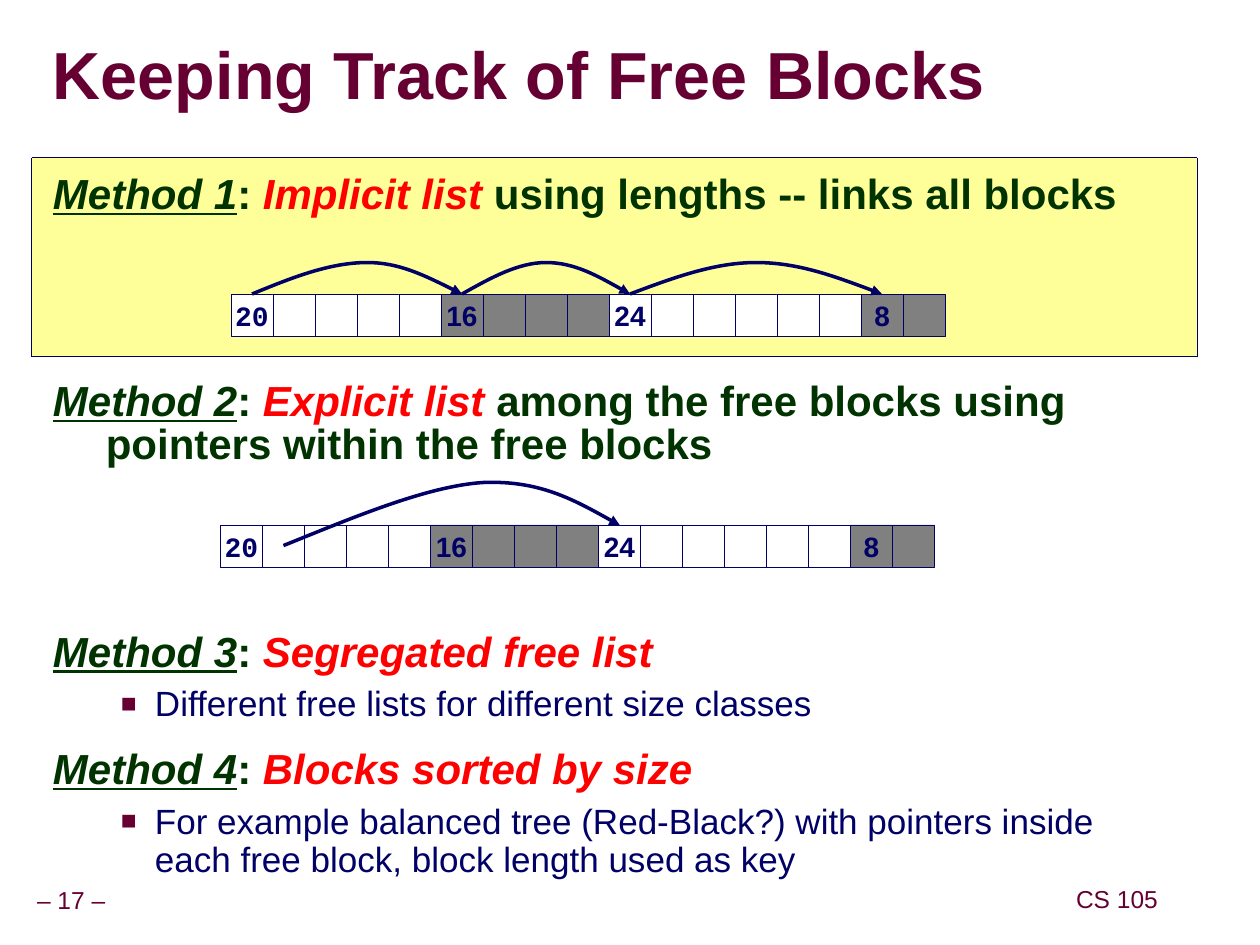
from lxml import etree
from pptx import Presentation
from pptx.dml.color import RGBColor
from pptx.enum.dml import MSO_LINE
from pptx.enum.shapes import MSO_SHAPE as Shape
from pptx.enum.text import MSO_ANCHOR as Anchor, MSO_AUTO_SIZE as AutoSize, PP_ALIGN as Align
from pptx.oxml import parse_xml
from pptx.oxml.ns import nsdecls, qn
from pptx.util import Inches, Pt

WIDTH, HEIGHT = 10, 7.5
CELL = WIDTH / 30
NAVY, MAROON, GREEN, RED = "000066", "660033", "003300", "FF0000"
WHITE, GRAY, YELLOW = "FFFFFF", "808080", "FFFF99"

# Heap blocks: size label, cell count, fill, label font
BLOCKS = [("20", 5, WHITE, "Courier New"), ("16", 4, GRAY, "Arial"),
          ("24", 6, WHITE, "Arial"), ("8", 2, GRAY, "Arial")]

# Methods: name, key term, rest of the line, detail, space before
METHODS = [
    ("Method 1", "Implicit list", " using lengths -- links all blocks", "", 0),
    ("Method 2", "Explicit list",
     " among the free blocks using pointers within the free blocks", "", 94),
    ("Method 3", "Segregated free list", "",
     "Different free lists for different size classes", 94),
    ("Method 4", "Blocks sorted by size", "",
     "For example balanced tree (Red-Black?) with pointers inside each free block, "
     "block length used as key", 15),
]


def color(hex_code):
    return RGBColor.from_string(hex_code)


def place(shape, left, top, width, height):
    shape.left, shape.top = Inches(left), Inches(top)
    shape.width, shape.height = Inches(width), Inches(height)


def set_frame(shape, anchor, side, edge, wrap=True):
    frame = shape.text_frame
    frame.auto_size = AutoSize.NONE
    frame.word_wrap = wrap
    frame.vertical_anchor = anchor
    frame.margin_left = frame.margin_right = Inches(side)
    frame.margin_top = frame.margin_bottom = Inches(edge)
    return frame


def add_span(para, text, size, hex_code, font="Arial", bold=False, italic=False, underline=False):
    span = para.add_run()
    span.text = text
    span.font.size, span.font.name = Pt(size), font
    span.font.bold, span.font.italic, span.font.underline = bold, italic, underline
    span.font.color.rgb = color(hex_code)
    return span


def set_para(para, indent, hanging, spacing, before, bullet=False):
    props = para._p.get_or_add_pPr()
    props.set("marL", str(Inches(indent)))
    props.set("indent", str(-Inches(hanging)))
    if bullet:
        tint = etree.SubElement(props, qn("a:buClr"))
        etree.SubElement(tint, qn("a:srgbClr"), val=MAROON)
        etree.SubElement(props, qn("a:buSzPct"), val="75000")
        etree.SubElement(props, qn("a:buFont"), typeface="Arial")
        etree.SubElement(props, qn("a:buChar"), char="■")
    else:
        etree.SubElement(props, qn("a:buNone"))
    para.alignment = Align.LEFT
    para.line_spacing, para.space_before = spacing, Pt(before)


def add_title(page, text):
    title = page.shapes.title
    place(title, 0.42, 0.25, 7.98, 0.75)
    para = set_frame(title, Anchor.MIDDLE, 0, 0).paragraphs[0]
    para.alignment, para.line_spacing = Align.LEFT, 0.87
    span = add_span(para, text, 38, MAROON, bold=True)
    shadow = parse_xml(
        f'<a:effectLst {nsdecls("a")}><a:outerShdw dist="38100" dir="2700000">'
        '<a:srgbClr val="969696"/></a:outerShdw></a:effectLst>')
    span.font._element.find(qn("a:solidFill")).addnext(shadow)


def add_methods(page):
    body = page.placeholders[1]
    place(body, 0.32, 1.34, 9.09, 5.71)
    frame = set_frame(body, Anchor.TOP, 0.1, 0.05)
    for index, (name, term, rest, detail, before) in enumerate(METHODS):
        para = frame.add_paragraph() if index else frame.paragraphs[0]
        set_para(para, 0.42, 0.42, 0.85, before)
        add_span(para, name, 24, GREEN, bold=True, italic=True, underline=True)
        add_span(para, ": ", 24, GREEN, bold=True)
        add_span(para, term, 24, RED, bold=True, italic=True)
        if rest:
            add_span(para, rest, 24, GREEN, bold=True)
        if detail:
            para = frame.add_paragraph()
            para.level = 1
            set_para(para, 0.81, 0.27, 0.9, 6.2, bullet=True)
            add_span(para, detail, 20, NAVY)


def add_rect(page, left, top, width, height, fill):
    rect = page.shapes.add_shape(Shape.RECTANGLE, 0, 0, 0, 0)
    place(rect, left, top, width, height)
    rect.shadow.inherit = False
    rect.fill.solid()
    rect.fill.fore_color.rgb = color(fill)
    rect.line.color.rgb = color(NAVY)
    rect.line.width = Pt(0.25)
    return rect


def add_panel(page):
    panel = add_rect(page, 0.25, 1.25, 9.25, 1.58, YELLOW)
    panel.line.dash_style = MSO_LINE.ROUND_DOT
    # Send behind the title and body
    page.shapes._spTree.insert(2, panel._element)


def add_heap(page, left, top):
    column = 0
    for label, count, fill, font in BLOCKS:
        for offset in range(count):
            cell = add_rect(page, left + column * CELL, top, CELL, CELL, fill)
            if offset == 0:
                para = set_frame(cell, Anchor.MIDDLE, 0.1, 0.05, wrap=False).paragraphs[0]
                para.alignment = Align.CENTER
                add_span(para, label, 16, NAVY, font, bold=True)
            column += 1


def add_curve(page, points):
    """Draw an arrow through cubic Bezier points: a start, then triples."""
    start, *others = [(Inches(x), Inches(y)) for x, y in points]
    builder = page.shapes.build_freeform(*start)
    builder.add_line_segments(others, close=False)
    curve = builder.convert_to_shape()
    # Gather each three line ends into one Bezier segment
    lines = list(curve._element.iter(qn("a:lnTo")))
    for first in range(0, len(lines), 3):
        bezier = etree.Element(qn("a:cubicBezTo"))
        lines[first].addprevious(bezier)
        for line in lines[first:first + 3]:
            bezier.append(line[0])
            line.getparent().remove(line)
    curve.shadow.inherit = False
    curve.fill.background()
    curve.line.color.rgb = color(NAVY)
    curve.line.width = Pt(2)
    etree.SubElement(curve.line._get_or_add_ln(), qn("a:tailEnd"), type="triangle")


def hop_points(start, end, base, peak=0.5, rise=0.25):
    shares = [peak * i / 3 for i in range(3)] + [peak + (1 - peak) * i / 3 for i in range(4)]
    lifts = [0, 0.5, 1, 1, 1, 0.5, 0]
    return [(start + (end - start) * share, base - rise * lift)
            for share, lift in zip(shares, lifts)]


def add_footer(page, text, left, top, width):
    box = page.shapes.add_textbox(0, 0, 0, 0)
    place(box, left, top, width, 0.31)
    para = set_frame(box, Anchor.MIDDLE, 0.05, 0.05, wrap=False).paragraphs[0]
    para.alignment, para.line_spacing = Align.CENTER, 0.9
    add_span(para, text, 14, MAROON)


def main():
    deck = Presentation()
    deck.slide_width, deck.slide_height = Inches(WIDTH), Inches(HEIGHT)
    page = deck.slides.add_slide(deck.slide_layouts[1])

    # Text
    add_title(page, "Keeping Track of Free Blocks")
    add_methods(page)
    add_panel(page)
    add_footer(page, "– 17 –", -0.09, 7, 1.31)
    add_footer(page, "CS 105", 8.49, 6.99, 0.75)

    # Implicit list: every block leads to the next
    left, top = 5.5 * CELL, 7 * CELL
    add_heap(page, left, top)
    column = 0.5
    for (_, count, _, _), peak in zip(BLOCKS[:-1], (0.55, 0.5, 0.5)):
        start = left + column * CELL
        add_curve(page, hop_points(start, start + count * CELL, top, peak))
        column += count

    # Explicit list: a free block points to the next free block
    add_heap(page, 5.25 * CELL, 12.5 * CELL)
    add_curve(page, [(2.25, 4.33), (2.82, 4.1), (3.39, 3.86), (3.83, 3.83),
                     (4.28, 3.81), (4.6, 3.99), (4.92, 4.17)])

    deck.save("out.pptx")


if __name__ == "__main__":
    main()
